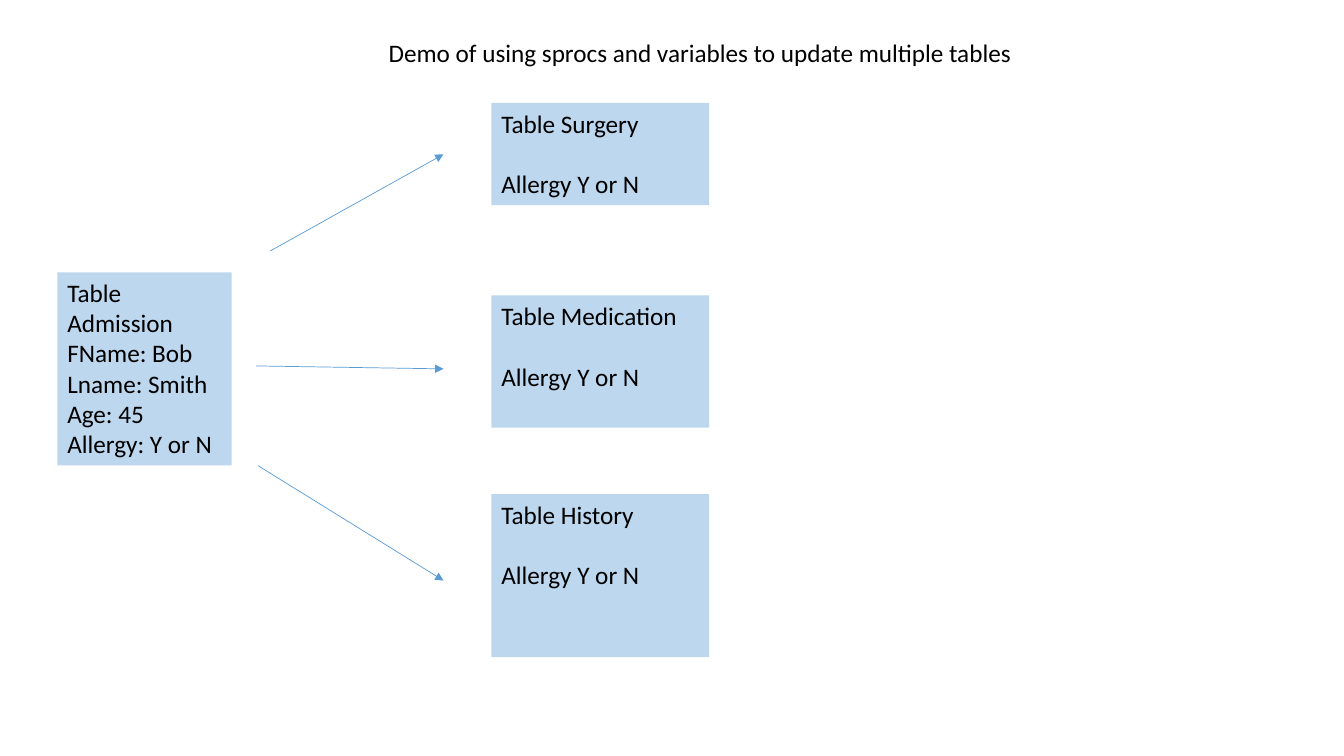
from pptx import Presentation
from pptx.dml.color import RGBColor
from pptx.enum.shapes import MSO_CONNECTOR, MSO_SHAPE
from pptx.enum.text import MSO_ANCHOR, MSO_AUTO_SIZE, PP_ALIGN
from pptx.oxml.ns import qn
from pptx.util import Pt
from lxml.etree import SubElement

TEXT_SIZE = 18
LINE_HEIGHT = 21.6
BOX_FILL = "BDD7EE"
ARROW_BLUE = "5B9BD5"
BLACK = "000000"


def color(hex_string):
    return RGBColor.from_string(hex_string)


def add_run(paragraph, text):
    run = paragraph.add_run()
    run.text = text
    run.font.name = "Calibri"
    run.font.size = Pt(TEXT_SIZE)
    run.font.color.rgb = color(BLACK)


def format_frame(frame, anchor):
    frame.word_wrap = True
    frame.auto_size = MSO_AUTO_SIZE.NONE
    frame.vertical_anchor = anchor


def add_heading(slide, text):
    heading = slide.shapes.title
    heading.left, heading.top = Pt(58.3), Pt(23)
    heading.width, heading.height = Pt(883.4), Pt(29)
    format_frame(heading.text_frame, MSO_ANCHOR.TOP)
    paragraph = heading.text_frame.paragraphs[0]
    paragraph.alignment = PP_ALIGN.CENTER
    add_run(paragraph, text)


def add_table_box(slide, left, top, width, height, lines, gap=0):
    box = slide.shapes.add_shape(
        MSO_SHAPE.RECTANGLE, Pt(left), Pt(top), Pt(width), Pt(height))
    box.shadow.inherit = False
    box.fill.solid()
    box.fill.fore_color.rgb = color(BOX_FILL)
    box.line.fill.background()
    frame = box.text_frame
    format_frame(frame, MSO_ANCHOR.TOP)
    for index, line in enumerate(lines):
        paragraph = frame.add_paragraph() if index else frame.paragraphs[0]
        paragraph.alignment = PP_ALIGN.LEFT
        if index and gap:
            paragraph.space_before = Pt(gap)
        add_run(paragraph, line)


def add_arrow(slide, start, end):
    arrow = slide.shapes.add_connector(
        MSO_CONNECTOR.STRAIGHT, *map(Pt, start), *map(Pt, end))
    arrow.line.color.rgb = color(ARROW_BLUE)
    arrow.line.width = Pt(0.5)
    SubElement(arrow.line._get_or_add_ln(), qn("a:tailEnd"), type="triangle")
    SubElement(arrow._element.spPr, qn("a:effectLst"))


def main():
    presentation = Presentation()
    presentation.slide_width, presentation.slide_height = Pt(960), Pt(540)
    slide = presentation.slides.add_slide(presentation.slide_layouts[5])

    add_heading(
        slide, "Demo of using sprocs and variables to update multiple tables")

    # Source table
    add_table_box(slide, 41, 194.5, 124.5, 138, [
        "Table Admission", "FName: Bob", "Lname: Smith", "Age: 45",
        "Allergy: Y or N"])

    # Updated tables, each with the arrow that leads to it
    updates = [
        ("Surgery", 73.5, 73, (193, 179.3), 110.2),
        ("Medication", 211, 94.5, (183, 261.4), 263.5),
        ("History", 353, 116.5, (184.3, 332.6), 414.7),
    ]
    for name, top, height, arrow_start, arrow_end_y in updates:
        add_table_box(slide, 351, top, 155.5, height,
                      [f"Table {name}", "Allergy Y or N"], gap=LINE_HEIGHT)
        add_arrow(slide, arrow_start, (316.8, arrow_end_y))

    presentation.save("out.pptx")


if __name__ == "__main__":
    main()
